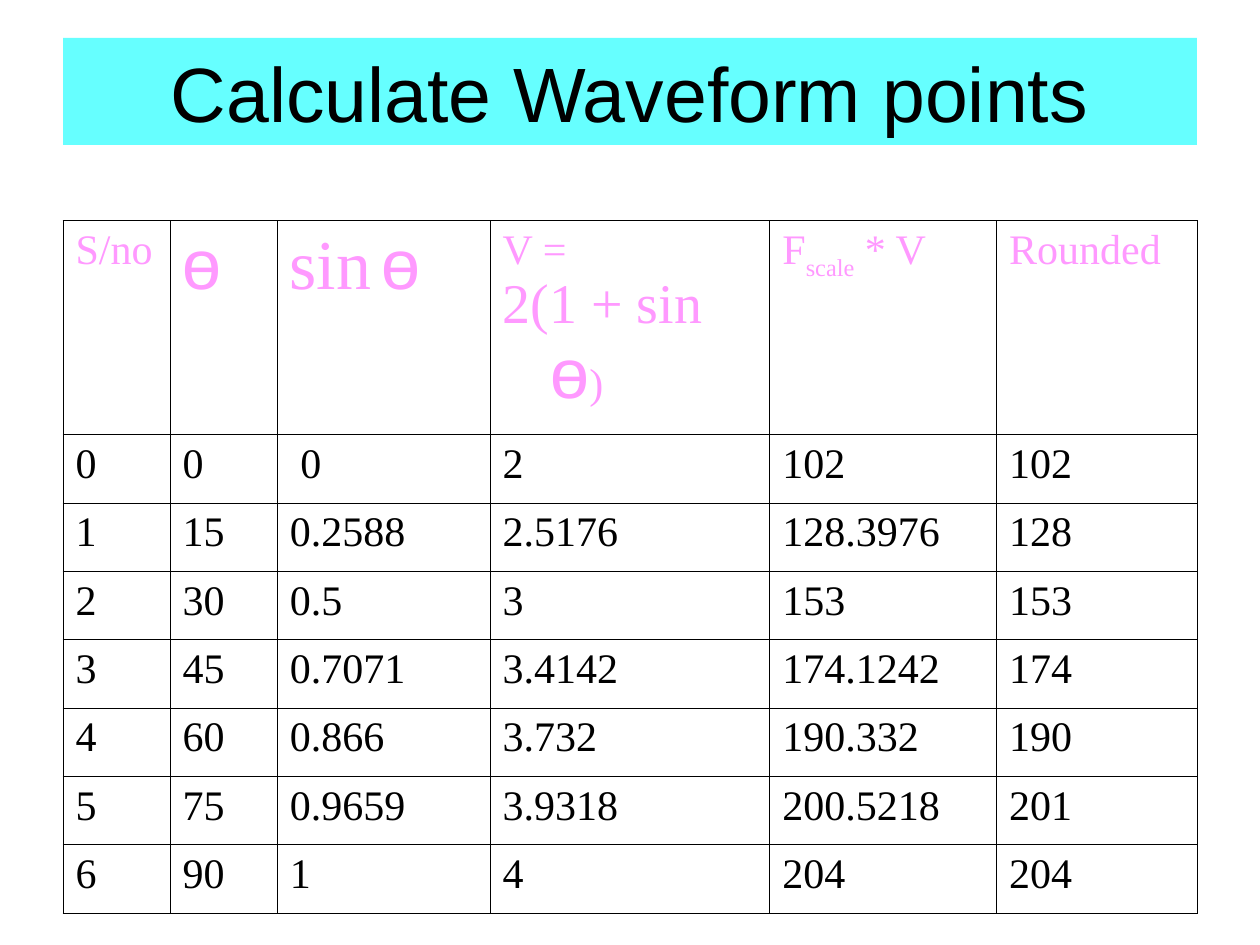
from pptx import Presentation
from pptx.dml.color import RGBColor as Color
from pptx.enum.text import MSO_ANCHOR as Anchor, PP_ALIGN as Align
from pptx.oxml.ns import qn
from pptx.util import Inches, Pt
from lxml.etree import SubElement

COLORS = {"banner": "66FFFF", "heading": "FF99FF", "ink": "000000"}
SERIF, SANS = "Times New Roman", "Arial"
THETA = ("ө", {"size": 40, "font": SANS})

HEADERS = [
    [["S/no"]],
    [[THETA]],
    [[("sin", {"size": 40}), " ", THETA]],
    [["V ="], [("2(1 + sin", {"size": 32}), " ", THETA, ")"]],
    [["F", ("scale", {"baseline": -30}), " * V"]],
    [["Rounded"]],
]
POINTS = [
    ("0", "0", " 0", "2", "102", "102"),
    ("1", "15", "0.2588", "2.5176", "128.3976", "128"),
    ("2", "30", "0.5", "3", "153", "153"),
    ("3", "45", "0.7071", "3.4142", "174.1242", "174"),
    ("4", "60", "0.866", "3.732", "190.332", "190"),
    ("5", "75", "0.9659", "3.9318", "200.5218", "201"),
    ("6", "90", "1", "4", "204", "204"),
]
COLUMN_WIDTHS = [0.85, 0.85, 1.69, 2.22, 1.8, 1.59]
TABLE_HEIGHT, HEADER_HEIGHT = 5.5, 1.7


def add_text(para, text, size=24, font=SERIF, color="ink", baseline=0):
    span = para.add_run()
    span.text = text
    span.font.size = Pt(size)
    span.font.name = font
    span.font.color.rgb = Color.from_string(COLORS[color])
    if baseline:
        span.font._element.set("baseline", str(baseline * 1000))


class WaveformSlide:
    """Builds the waveform slide with one shared style."""

    hanging = Inches(0.38)
    border_width = Pt(0.45)

    def __init__(self, deck):
        self.slide = deck.slides.add_slide(deck.slide_layouts[5])

    def title(self, text, left, top, width, height):
        box = self.slide.shapes.title
        box.left, box.top = Inches(left), Inches(top)
        box.width, box.height = Inches(width), Inches(height)
        box.fill.solid()
        box.fill.fore_color.rgb = Color.from_string(COLORS["banner"])
        box.text_frame.vertical_anchor = Anchor.MIDDLE
        para = box.text_frame.paragraphs[0]
        para.alignment = Align.CENTER
        add_text(para, text, size=44, font=SANS)

    def table(self, left, top, headers, points):
        table = self.slide.shapes.add_table(
            len(points) + 1, len(headers), Inches(left), Inches(top),
            Inches(sum(COLUMN_WIDTHS)), Inches(TABLE_HEIGHT)).table
        table.first_row = table.horz_banding = False
        for column, width in zip(table.columns, COLUMN_WIDTHS):
            column.width = Inches(width)
        row_height = (TABLE_HEIGHT - HEADER_HEIGHT) / len(points)
        heights = [HEADER_HEIGHT] + [row_height] * len(points)
        contents = [headers] + [[[[value]] for value in point] for point in points]
        for index, (height, row) in enumerate(zip(heights, contents)):
            table.rows[index].height = Inches(height)
            color = "ink" if index else "heading"
            for cell, lines in zip(table.rows[index].cells, row):
                self.cell(cell, lines, color)

    def cell(self, cell, lines, color):
        self.borders(cell)
        cell.fill.background()
        frame = cell.text_frame
        for number, line in enumerate(lines):
            para = frame.add_paragraph() if number else frame.paragraphs[0]
            properties = para._p.get_or_add_pPr()
            properties.set("marL", str(self.hanging))
            properties.set("indent", str(-self.hanging))
            for piece in line:
                text, style = (piece, {}) if isinstance(piece, str) else piece
                add_text(para, text, color=color, **style)

    def borders(self, cell):
        properties = cell._tc.get_or_add_tcPr()
        for side in ("L", "R", "T", "B"):
            line = SubElement(properties, qn(f"a:ln{side}"), w=str(self.border_width))
            fill = SubElement(line, qn("a:solidFill"))
            SubElement(fill, qn("a:srgbClr"), val=COLORS["ink"])


def main():
    deck = Presentation()
    deck.slide_width, deck.slide_height = Inches(10), Inches(7.5)
    page = WaveformSlide(deck)
    page.title("Calculate Waveform points", 0.5, 0.3, 9, 0.85)
    page.table(0.5, 1.75, HEADERS, POINTS)
    deck.save("out.pptx")


if __name__ == "__main__":
    main()
